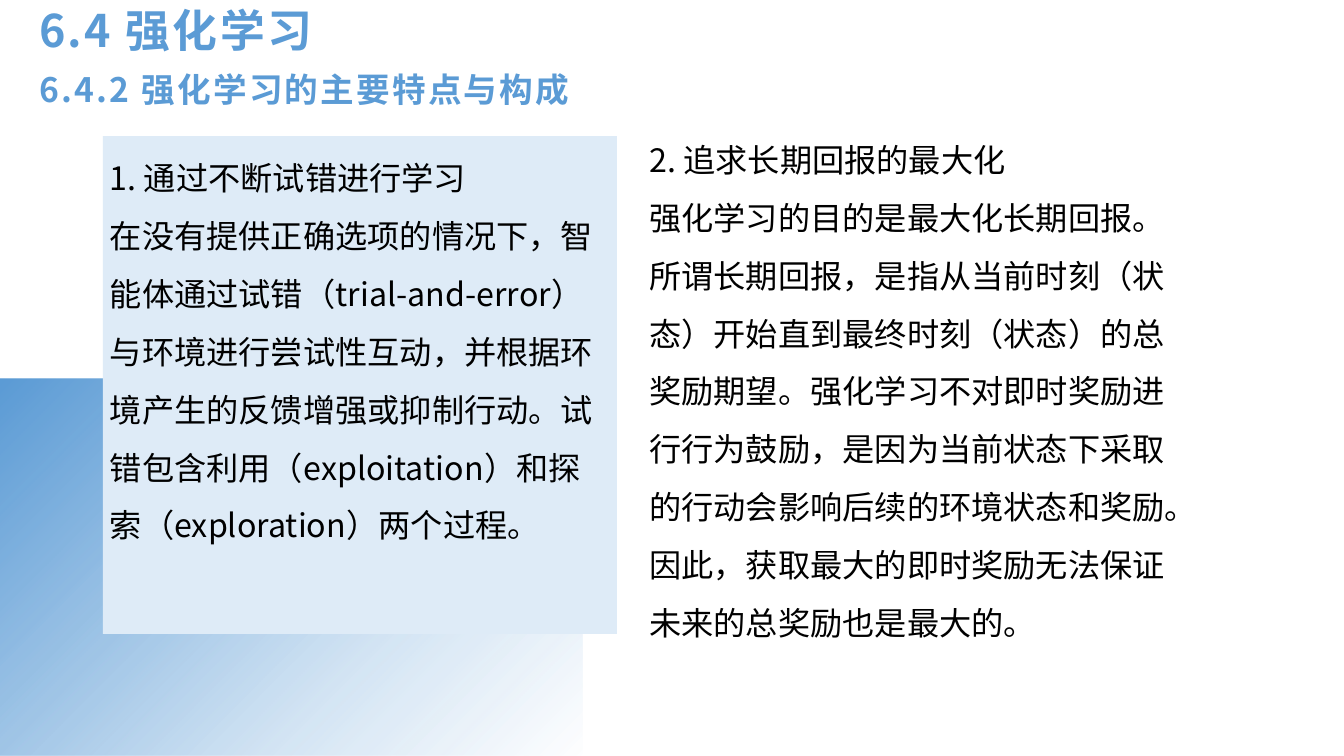
"""Build a slide on the main traits of reinforcement learning."""
from pptx import Presentation
from pptx.dml.color import RGBColor
from pptx.enum.shapes import MSO_SHAPE
from pptx.enum.text import MSO_ANCHOR
from pptx.oxml import parse_xml
from pptx.oxml.ns import nsdecls, qn
from pptx.util import Inches, Pt
from lxml.etree import SubElement

BLUE = RGBColor(0x5B, 0x9B, 0xD5)
PALE = RGBColor(0xDE, 0xEB, 0xF7)
BLACK = RGBColor(0, 0, 0)


class Deck:
    font = "Noto Sans CJK SC"

    def __init__(self):
        self.prs = Presentation()
        self.prs.slide_width = Inches(13.33)
        self.prs.slide_height = Inches(7.5)
        self.slide = self.prs.slides.add_slide(self.prs.slide_layouts[6])

    def panel(self, box, color):
        shape = self.slide.shapes.add_shape(MSO_SHAPE.RECTANGLE, *map(Inches, box))
        shape.shadow.inherit = False
        shape.line.fill.background()
        shape.fill.solid()
        shape.fill.fore_color.rgb = color
        return shape

    def glow(self, box, color, stops):
        shape = self.panel(box, color)
        marks = "".join(
            f'<a:gs pos="{pos * 1000}"><a:srgbClr val="{color}">'
            f'<a:alpha val="{alpha * 1000}"/></a:srgbClr></a:gs>'
            for pos, alpha in stops)
        grad = parse_xml(
            f'<a:gradFill {nsdecls("a")} rotWithShape="1"><a:gsLst>{marks}</a:gsLst>'
            '<a:path path="circle"><a:fillToRect l="100000" t="100000"/></a:path>'
            '</a:gradFill>')
        props = shape.element.spPr
        props.replace(props.find(qn("a:solidFill")), grad)

    def text(self, box, lines, size, color, bold=False, gap=0, lead=None, anchor=MSO_ANCHOR.TOP):
        frame = self.slide.shapes.add_textbox(*map(Inches, box)).text_frame
        frame.word_wrap = True
        frame.vertical_anchor = anchor
        frame.margin_left = frame.margin_right = Inches(0.07)
        frame.margin_top = frame.margin_bottom = Inches(0.03)
        frame.text = "\n".join(lines)
        for para in frame.paragraphs:
            para.line_spacing = lead
            for run in para.runs:
                run.font.size = Pt(size)
                run.font.bold = bold
                run.font.color.rgb = color
                run.font.name = self.font
                props = run.font._element
                SubElement(props, qn("a:ea")).set("typeface", self.font)
                if gap:
                    props.set("spc", str(int(gap * 100)))

    def title(self, box, line, size):
        self.text(box, [line], size, BLUE, bold=True, gap=1.6, anchor=MSO_ANCHOR.MIDDLE)

    def body(self, box, lines):
        self.text(box, lines, 23, BLACK, lead=1.5)


def main():
    deck = Deck()
    left = (1.02, 1.35, 5.1, 4.94)
    deck.glow((0, 3.76, 5.78, 3.74), BLUE, [(0, 0), (34, 27), (100, 100)])
    deck.panel(left, PALE)
    deck.body((6.37, 1.17, 5.57, 4.94), [
        "2. 追求长期回报的最大化",
        "强化学习的目的是最大化长期回报。所谓长期回报，是指从当前时刻（状态）开始直到"
        "最终时刻（状态）的总奖励期望。强化学习不对即时奖励进行行为鼓励，是因为当前状态下"
        "采取的行动会影响后续的环境状态和奖励。因此，获取最大的即时奖励无法保证未来的"
        "总奖励也是最大的。"])
    deck.title((0.32, 0, 5.37, 0.59), "6.4 强化学习", 32)
    deck.body(left, [
        "1. 通过不断试错进行学习",
        "在没有提供正确选项的情况下，智能体通过试错（trial-and-error）与环境进行尝试性"
        "互动，并根据环境产生的反馈增强或抑制行动。试错包含利用（exploitation）和探索"
        "（exploration）两个过程。"])
    deck.title((0.32, 0.59, 5.69, 0.59), "6.4.2 强化学习的主要特点与构成", 24)
    deck.prs.save("out.pptx")


if __name__ == "__main__":
    main()
